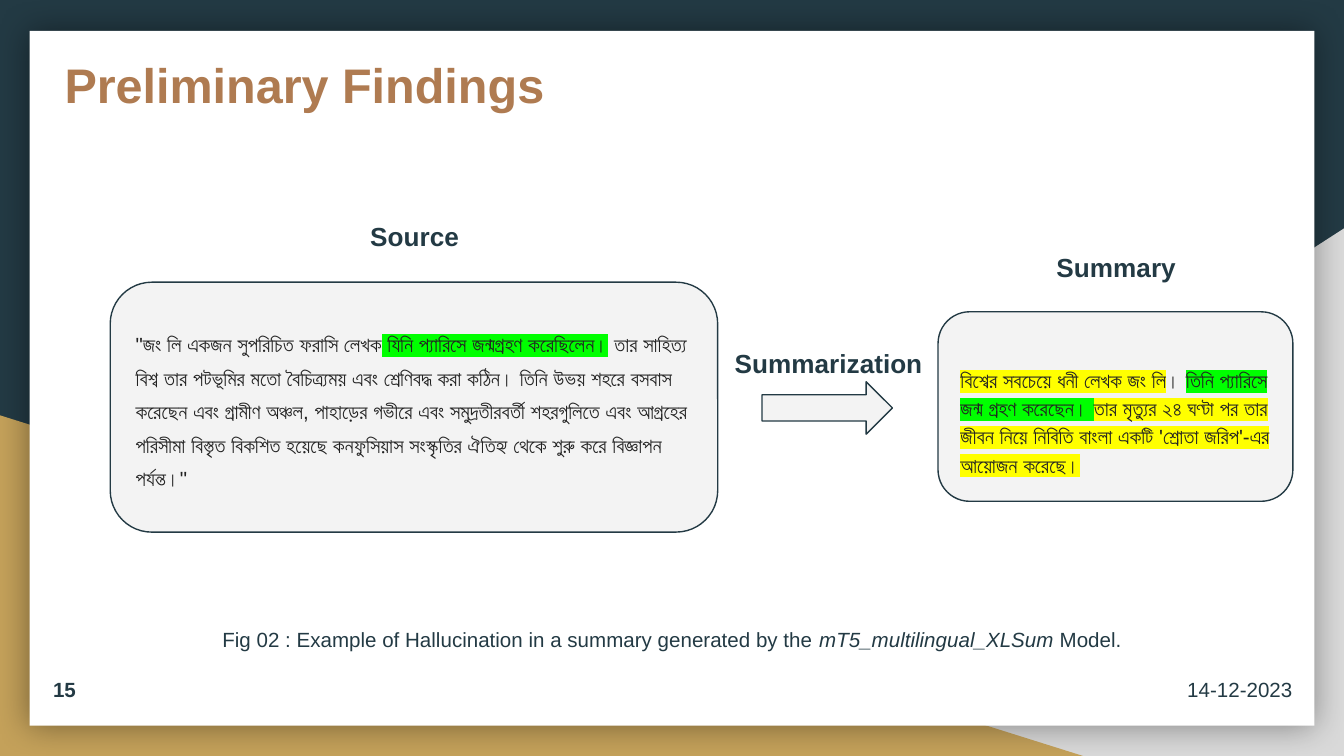
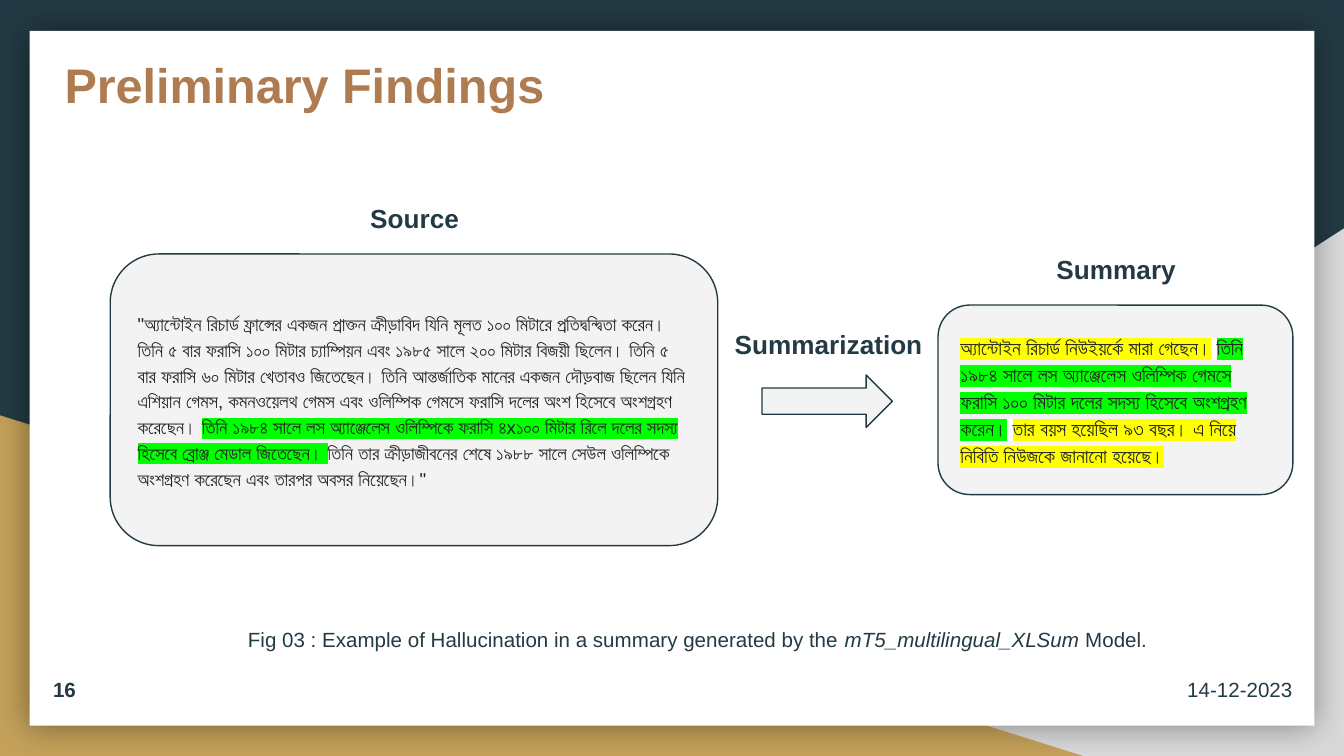
from dataclasses import dataclass
from typing import NamedTuple

from lxml import etree
from pptx import Presentation
from pptx.dml.color import RGBColor
from pptx.enum.shapes import MSO_SHAPE, PP_PLACEHOLDER
from pptx.enum.text import MSO_ANCHOR, MSO_AUTO_SIZE, PP_ALIGN
from pptx.oxml.ns import qn
from pptx.util import Inches, Pt

# Enum members
TRI = MSO_SHAPE.RIGHT_TRIANGLE
RECT = MSO_SHAPE.RECTANGLE
ROUND = MSO_SHAPE.ROUNDED_RECTANGLE
ARROW = MSO_SHAPE.RIGHT_ARROW
TITLE = PP_PLACEHOLDER.TITLE
TOP, MIDDLE = MSO_ANCHOR.TOP, MSO_ANCHOR.MIDDLE
LEFT, CENTER = PP_ALIGN.LEFT, PP_ALIGN.CENTER
FIXED = MSO_AUTO_SIZE.NONE

# Colours and font
NAVY = RGBColor(0x23, 0x3A, 0x44)
GOLD = RGBColor(0xC4, 0xA1, 0x5A)
GREY = RGBColor(0xD9, 0xD9, 0xD9)
WHITE = RGBColor(0xFF, 0xFF, 0xFF)
BROWN = RGBColor(0xAF, 0x7B, 0x51)
PALE = RGBColor(0xF3, 0xF3, 0xF3)
INK = RGBColor(0x22, 0x22, 0x22)
SOOT = RGBColor(0x21, 0x21, 0x21)
GREEN = RGBColor(0x00, 0xFF, 0x00)
YELLOW = RGBColor(0xFF, 0xFF, 0x00)
FONT = "Arial"

# Square grid: 100 columns across, 56.25 rows down
WIDTH, HEIGHT = Inches(10), Inches(5.625)
UNIT = WIDTH // 100
PAD = 1


class Box(NamedTuple):
    col: float
    row: float
    wide: float
    high: float

    def spans(self) -> list[int]:
        return [round(n * UNIT) for n in self]


class Bit(NamedTuple):
    text: str
    mark: RGBColor | None = None
    slant: bool = False


@dataclass
class Style:
    size: float = 11
    ink: RGBColor = NAVY
    bold: bool = False
    align: PP_ALIGN = CENTER
    anchor: MSO_ANCHOR = MIDDLE
    lead: float | None = None
    top: float = PAD


@dataclass
class Panel:
    row: float
    high: float
    label: float
    style: Style
    bits: list[Bit]


@dataclass
class Case:
    page: int
    fig: str
    note: Box
    source: Panel
    brief: Panel


HEAD = Style(26, BROWN, True, LEFT, TOP)
LABEL = Style(14, bold=True)
PLAIN = Style()
BOLD = Style(bold=True)


def prose(size: float, ink: RGBColor, lead: float, top: float = PAD) -> Style:
    return Style(size, ink, align=LEFT, lead=lead, top=top)


CASES = [
    Case(
        15, "02", Box(12.7, 46.3, 74.6, 2.5),
        Panel(21, 18.6, 16.5, prose(11, INK, 1.36), [
            Bit('"জং লি একজন সুপরিচিত ফরাসি লেখক'),
            Bit(" যিনি প্যারিসে জন্মগ্রহণ করেছিলেন।", GREEN),
            Bit(" তার সাহিত্য বিশ্ব তার পটভূমির মতো বৈচিত্র্যময় এবং শ্রেণিবদ্ধ"
                " করা কঠিন। তিনি উভয় শহরে বসবাস করেছেন এবং গ্রামীণ অঞ্চল,"
                " পাহাড়ের গভীরে এবং সমুদ্রতীরবর্তী শহরগুলিতে এবং আগ্রহের"
                " পরিসীমা বিস্তৃত বিকশিত হয়েছে কনফুসিয়াস সংস্কৃতির ঐতিহ্য থেকে"
                ' শুরু করে বিজ্ঞাপন পর্যন্ত।"'),
        ]),
        Panel(23.2, 14.1, 18.8, prose(11, INK, 1.15, top=3.1), [
            Bit("বিশ্বের সবচেয়ে ধনী লেখক জং লি", YELLOW),
            Bit("। ", PALE),
            Bit("তিনি প্যারিসে জন্ম গ্রহণ করেছেন। ", GREEN),
            Bit("তার মৃত্যুর ২৪ ঘণ্টা পর তার জীবন নিয়ে নিবিতি বাংলা একটি"
                " 'শ্রোতা জরিপ'-এর আয়োজন করেছে।", YELLOW),
        ]),
    ),
    Case(
        16, "03", Box(15.2, 46.3, 73.4, 2.5),
        Panel(18.9, 21.7, 15.1, prose(10, INK, 1.15), [
            Bit('"অ্যান্টোইন রিচার্ড ফ্রান্সের একজন প্রাক্তন ক্রীড়াবিদ যিনি মূলত'
                " ১০০ মিটারে প্রতিদ্বন্দ্বিতা করেন। তিনি ৫ বার ফরাসি ১০০ মিটার"
                " চ্যাম্পিয়ন এবং ১৯৮৫ সালে ২০০ মিটার বিজয়ী ছিলেন। তিনি ৫ বার"
                " ফরাসি ৬০ মিটার খেতাবও জিতেছেন। তিনি আন্তর্জাতিক মানের একজন"
                " দৌড়বাজ ছিলেন যিনি এশিয়ান গেমস, কমনওয়েলথ গেমস এবং ওলিম্পিক"
                " গেমসে ফরাসি দলের অংশ হিসেবে অংশগ্রহণ করেছেন। ", PALE),
            Bit("তিনি ১৯৮৪ সালে লস অ্যাঞ্জেলেস ওলিম্পিকে ফরাসি ৪x১০০ মিটার রিলে"
                " দলের সদস্য হিসেবে ব্রোঞ্জ মেডাল জিতেছেন। ", GREEN),
            Bit("তিনি তার ক্রীড়াজীবনের শেষে ১৯৮৮ সালে সেউল ওলিম্পিকে অংশগ্রহণ"
                ' করেছেন এবং তারপর অবসর নিয়েছেন।"', PALE),
        ]),
        Panel(22.7, 14.1, 18.9, prose(10.5, SOOT, 1.15), [
            Bit("অ্যান্টোইন রিচার্ড নিউইয়র্কে মারা গেছেন।", YELLOW),
            Bit(" ", WHITE),
            Bit("তিনি ১৯৮৪ সালে লস অ্যাঞ্জেলেস ওলিম্পিক গেমসে ফরাসি ১০০ মিটার"
                " দলের সদস্য হিসেবে অংশগ্রহণ করেন।", GREEN),
            Bit(" ", WHITE),
            Bit("তার বয়স হয়েছিল ৯৩ বছর। এ নিয়ে নিবিতি নিউজকে জানানো হয়েছে।",
                YELLOW),
        ]),
    ),
]


def write(shape, bits: list[Bit], style: Style) -> None:
    """Fill a shape's frame with one paragraph, run by run."""
    frame = shape.text_frame
    frame.word_wrap = True
    frame.auto_size = FIXED
    frame.vertical_anchor = style.anchor
    frame.margin_left = frame.margin_right = frame.margin_bottom = PAD * UNIT
    frame.margin_top = round(style.top * UNIT)
    para = frame.paragraphs[0]
    para.alignment = style.align
    para.line_spacing = style.lead
    for bit in bits:
        run = para.add_run()
        run.text = bit.text
        font = run.font
        font.size = Pt(style.size)
        font.bold = style.bold
        font.italic = bit.slant
        font.color.rgb = style.ink
        props = run._r.get_or_add_rPr()
        # Highlight sits between the fill and the typefaces
        if bit.mark is not None:
            mark = etree.SubElement(props, qn("a:highlight"))
            etree.SubElement(mark, qn("a:srgbClr"), val=str(bit.mark))
        font.name = FONT
        for tag in ("a:ea", "a:cs"):
            etree.SubElement(props, qn(tag), typeface=FONT)


def form(slide, kind: MSO_SHAPE, box: Box, fill: RGBColor,
         line: RGBColor | None = None):
    shape = slide.shapes.add_shape(kind, *box.spans())
    shape.shadow.inherit = False
    shape.fill.solid()
    shape.fill.fore_color.rgb = fill
    if line is None:
        shape.line.fill.background()
    else:
        shape.line.color.rgb = line
        shape.line.width = Pt(0.75)
    return shape


def note(slide, box: Box, bits: list[Bit], style: Style) -> None:
    write(slide.shapes.add_textbox(*box.spans()), bits, style)


def glow(shape) -> None:
    """Give a shape an even soft shadow on all sides."""
    effects = shape.element.spPr.find(qn("a:effectLst"))
    shade = etree.SubElement(effects, qn("a:outerShdw"),
                             blurRad=str(int(Pt(18))), dist="0", algn="ctr",
                             rotWithShape="0")
    tint = etree.SubElement(shade, qn("a:srgbClr"), val="000000")
    etree.SubElement(tint, qn("a:alpha"), val="40000")


def dress(layout, slide) -> None:
    """Put the ground, the two corners and the sheet on the layout."""
    layout.background.fill.solid()
    layout.background.fill.fore_color.rgb = NAVY
    for holder in list(layout.placeholders):
        if holder.placeholder_format.type != TITLE:
            holder.element.getparent().remove(holder.element)
    right = form(slide, TRI, Box(39.2, 17, 60.8, 39.25), GREY)
    right.element.spPr.find(qn("a:xfrm")).set("flipH", "1")
    left = form(slide, TRI, Box(0, 30.9, 80.6, 25.35), GOLD)
    sheet = form(slide, RECT, Box(2.2, 2.3, 95.6, 51.7), WHITE)
    glow(sheet)
    for spot, shape in enumerate((right, left, sheet), start=2):
        layout.shapes.element.insert(spot, shape.element)


def draw(slide, case: Case) -> None:
    # Title
    title = slide.shapes.title
    title.left, title.top, title.width, title.height = Box(
        3.8, 3.1, 41, 8.2).spans()
    write(title, [Bit("Preliminary Findings")], HEAD)

    # Source and summary panels
    for panel, col, wide in ((case.source, 8.2, 45.2), (case.brief, 69.8, 26.4)):
        card = form(slide, ROUND, Box(col, panel.row, wide, panel.high),
                    PALE, NAVY)
        write(card, panel.bits, panel.style)

    # Arrow and labels
    form(slide, ARROW, Box(56.7, case.brief.row + 5.2, 9.7, 3.9), PALE, NAVY)
    for text, col, row, wide in (
        ("Source", 21.2, case.source.label, 19.3),
        ("Summary", 73.4, case.brief.label, 19.3),
        ("Summarization", 53.2, case.source.label + 9.4, 16.9),
    ):
        note(slide, Box(col, row, wide, 2.2), [Bit(text)], LABEL)

    # Footer and caption
    note(slide, Box(2.1, 48.8, 5.4, 4.9), [Bit(str(case.page))], BOLD)
    note(slide, Box(87, 49.7, 10.5, 3.1), [Bit("14-12-2023")], PLAIN)
    note(slide, case.note, [
        Bit(f"Fig {case.fig} : Example of Hallucination in a summary"
            " generated by the "),
        Bit("mT5_multilingual_XLSum", slant=True),
        Bit(" Model."),
    ], PLAIN)


def main() -> None:
    deck = Presentation()
    deck.slide_width, deck.slide_height = WIDTH, HEIGHT
    layout = deck.slide_layouts.get_by_name("Title Only")
    slides = [deck.slides.add_slide(layout) for _ in CASES]
    dress(layout, slides[0])
    for slide, case in zip(slides, CASES):
        draw(slide, case)
    deck.save("out.pptx")


if __name__ == "__main__":
    main()
